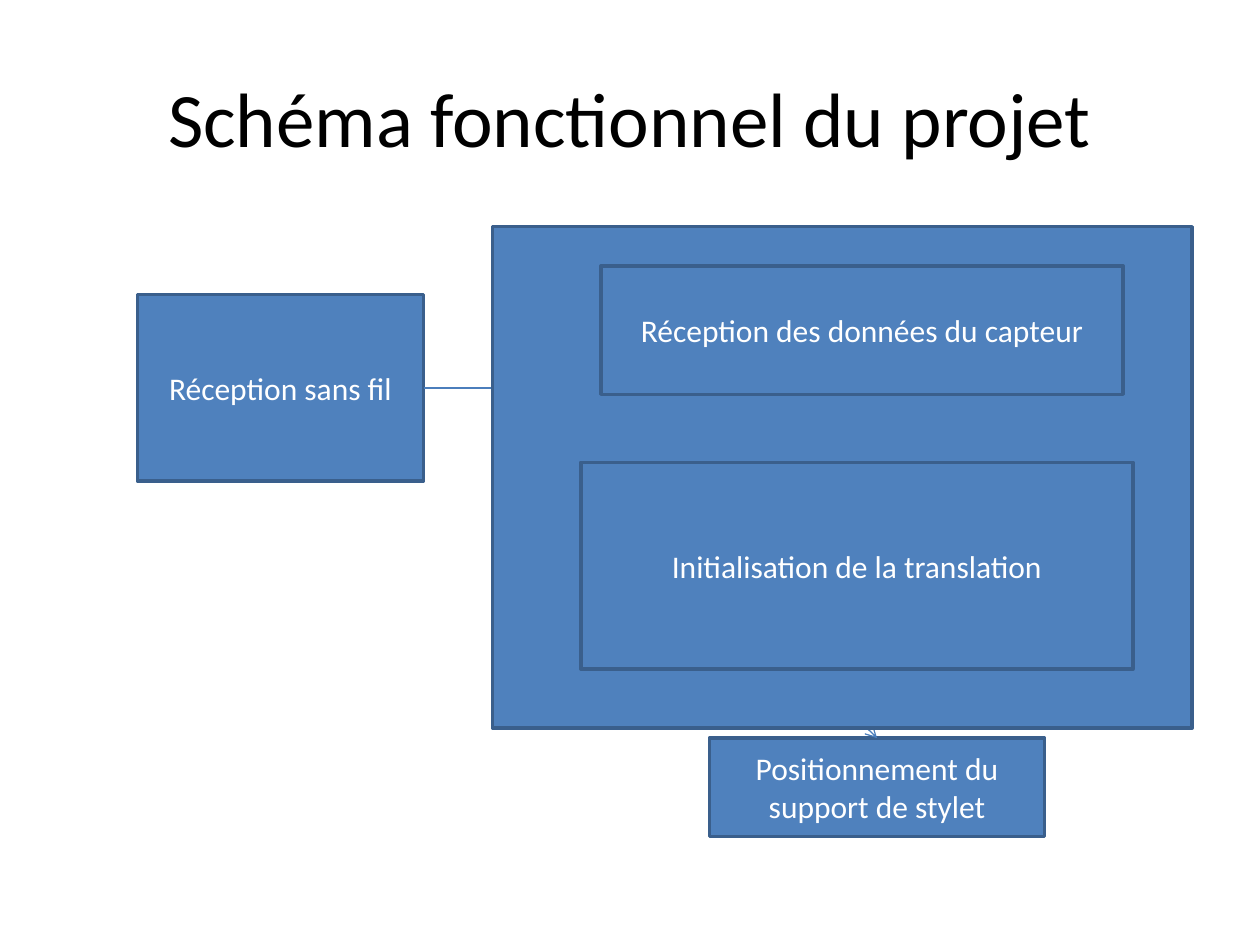
from lxml.etree import SubElement
from pptx import Presentation
from pptx.dml.color import RGBColor
from pptx.enum.shapes import MSO_CONNECTOR, MSO_SHAPE
from pptx.enum.text import MSO_ANCHOR, PP_ALIGN
from pptx.oxml.ns import qn
from pptx.util import Cm, Pt

FONT = "Calibri"
BLACK = RGBColor(0x00, 0x00, 0x00)
WHITE = RGBColor(0xFF, 0xFF, 0xFF)
BLUE = RGBColor(0x4F, 0x81, 0xBD)
BORDER = RGBColor(0x3A, 0x5F, 0x8C)
ARROW = RGBColor(0x4B, 0x7E, 0xBC)

# Boxes are left, top, width, height in centimetres
TITLE = (1.27, 0.76, 22.86, 3.18)
RECEIVER = (2.77, 5.94, 5.77, 3.76)
STYLUS = (14.3, 14.88, 6.76, 1.98)
PROCESSING = (9.93, 4.57, 14.1, 10.11)


def format_text(tf, size, color):
    tf.vertical_anchor = MSO_ANCHOR.MIDDLE
    tf.word_wrap = True
    for p in tf.paragraphs:
        p.alignment = PP_ALIGN.CENTER
        for r in p.runs:
            r.font.name = FONT
            r.font.size = Pt(size)
            r.font.color.rgb = color


def add_title(slide, box, text):
    s = slide.shapes.title
    s.left, s.top, s.width, s.height = map(Cm, box)
    s.text_frame.text = text
    format_text(s.text_frame, 44, BLACK)


def add_block(slide, box, text=""):
    s = slide.shapes.add_shape(MSO_SHAPE.RECTANGLE, *map(Cm, box))
    s.shadow.inherit = False
    s.fill.solid()
    s.fill.fore_color.rgb = BLUE
    s.line.color.rgb = BORDER
    s.line.width = Pt(2)
    s.text_frame.text = text
    format_text(s.text_frame, 18, WHITE)


def add_arrow(slide, start, end):
    s = slide.shapes.add_connector(MSO_CONNECTOR.STRAIGHT, *map(Cm, start + end))
    s.line.color.rgb = ARROW
    s.line.width = Pt(0.75)
    sp_pr = s._element.spPr
    SubElement(sp_pr.find(qn("a:ln")), qn("a:tailEnd"), type="arrow")
    SubElement(sp_pr, qn("a:effectLst"))


def add_processing(slide, box):
    """Draw the outer block and the two steps inside it."""
    left, top = box[:2]
    add_block(slide, box)
    add_block(slide, (left + 2.19, top + 0.79, 10.52, 2.59),
              "Réception des données du capteur")
    add_block(slide, (left + 1.78, top + 4.75, 11.13, 4.17),
              "Initialisation de la translation")


def add_diagram(slide):
    add_block(slide, RECEIVER, "Réception sans fil")
    add_block(slide, STYLUS, "Positionnement du support de stylet")

    # The arrows lie behind the processing block
    left, top, width, height = RECEIVER
    right, middle = left + width, top + height / 2
    add_arrow(slide, (right, middle), (right + 2.56, middle))
    left, top, width, height = STYLUS
    center = left + width / 2
    add_arrow(slide, (center - 1.4, top - 1.4), (center, top))

    add_processing(slide, PROCESSING)


def main():
    prs = Presentation()
    prs.slide_width, prs.slide_height = Cm(25.4), Cm(19.05)
    slide = prs.slides.add_slide(prs.slide_layouts[5])
    add_title(slide, TITLE, "Schéma fonctionnel du projet")
    add_diagram(slide)
    prs.save("out.pptx")


if __name__ == "__main__":
    main()
